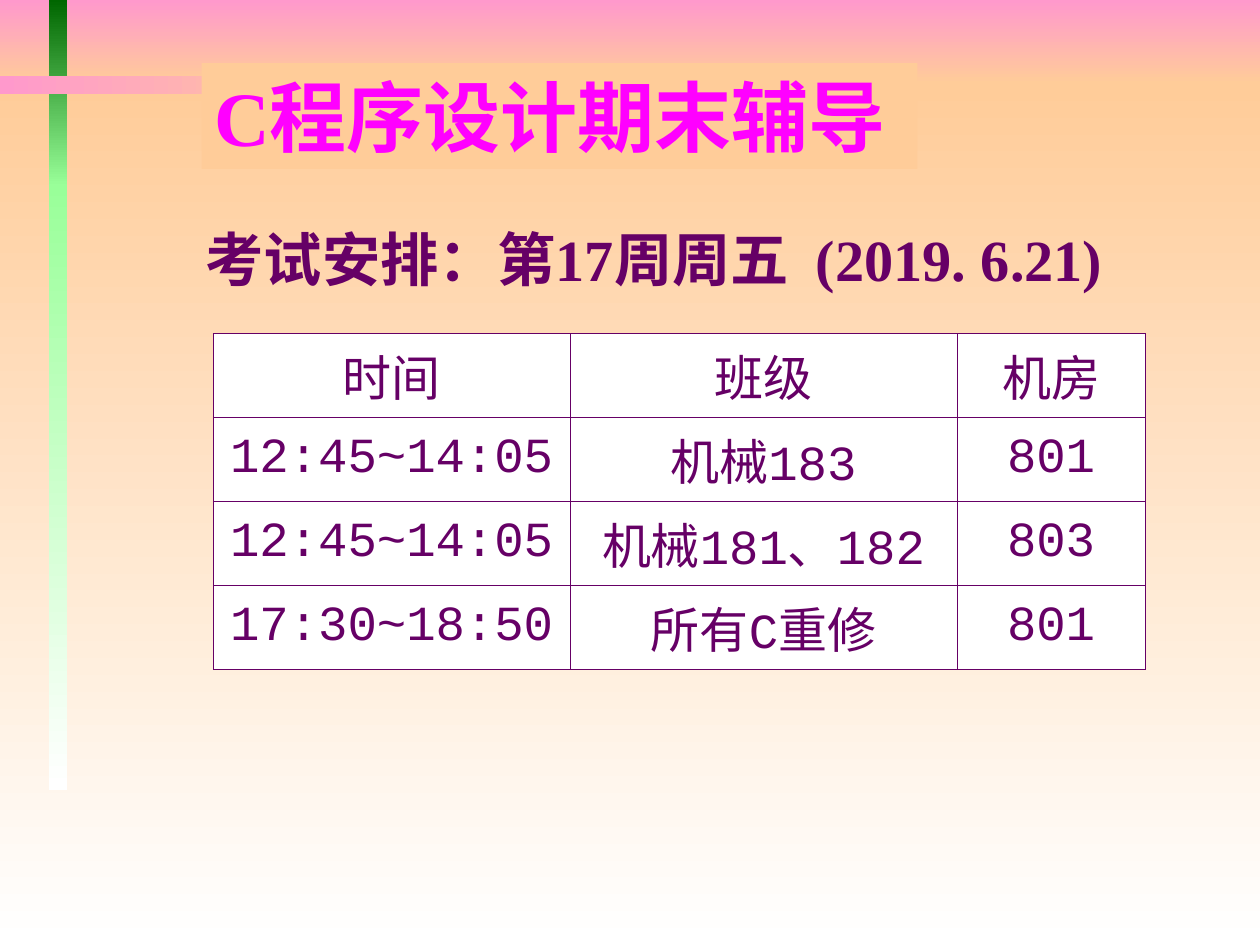
"""Builds the exam schedule slide for the C programming tutorial."""
from lxml import etree
from pptx import Presentation
from pptx import util as u
from pptx.dml.color import RGBColor
from pptx.enum import shapes, text
from pptx.oxml.ns import qn

COLORS = {
    "pink": "FF99CC", "peach": "FFCC99", "white": "FFFFFF", "forest": "006600",
    "mint": "99FF99", "magenta": "FF00FF", "purple": "660066",
}
DOWN, RIGHT = 270, 0
BANDS = [
    ((0, 0, 720, 48), "pink", "peach", DOWN),
    ((0, 48, 720, 492), "peach", "white", DOWN),
    ((28, 0, 10.3, 106.5), "forest", "mint", DOWN),
    ((28, 105, 10.3, 346.5), "mint", "white", DOWN),
    ((0, 43.5, 208, 10), "pink", "peach", RIGHT),
]
ROWS = [
    ("时间", "班级", "机房"),
    ("12:45~14:05", "机械183", "801"),
    ("12:45~14:05", "机械181、182", "803"),
    ("17:30~18:50", "所有C重修", "801"),
]


class Deck:
    """Holds the style and the current slide."""

    def __init__(self, width, height):
        self.prs = Presentation()
        self.prs.slide_width, self.prs.slide_height = u.Pt(width), u.Pt(height)
        self.s = self.prs.slides.add_slide(self.prs.slide_layouts[1])

    def color(self, name):
        return RGBColor.from_string(COLORS[name])

    def font(self, p, name, size, color, bold=False):
        f = p.font
        f.name, f.size, f.bold = name, u.Pt(size), bold
        f.color.rgb = self.color(color)

    def band(self, box, start, end, angle):
        sp = self.s.shapes.add_shape(shapes.MSO_SHAPE.RECTANGLE, *map(u.Pt, box))
        sp.shadow.inherit = False
        sp.line.fill.background()
        sp.fill.gradient()
        sp.fill.gradient_angle = angle
        for stop, name in zip(sp.fill.gradient_stops, (start, end)):
            stop.color.rgb = self.color(name)

    def placeholder(self, idx, box, content, size, color):
        sp = self.s.placeholders[idx]
        sp.left, sp.top, sp.width, sp.height = map(u.Pt, box)
        self.s.shapes._spTree.append(sp._element)
        tf = sp.text_frame
        tf.text = content
        tf.vertical_anchor = text.MSO_ANCHOR.TOP
        tf.auto_size = text.MSO_AUTO_SIZE.NONE
        p = tf.paragraphs[0]
        p.alignment = text.PP_ALIGN.LEFT
        self.font(p, "Times New Roman", size, color, True)
        return sp

    def title(self, box, content):
        sp = self.placeholder(0, box, content, 44, "magenta")
        sp.fill.solid()
        sp.fill.fore_color.rgb = self.color("peach")
        sp.text_frame.word_wrap = False
        sp.text_frame.margin_right = 0

    def body(self, box, content):
        p = self.placeholder(1, box, content, 33.3, "purple").text_frame.paragraphs[0]
        p.line_spacing, p.space_before = 0.9, u.Pt(9)
        pPr = p._p.get_or_add_pPr()
        pPr.set("marL", "0")
        pPr.set("indent", "0")
        pPr.insert_element_before(
            pPr.makeelement(qn("a:buNone"), {}), "a:tabLst", "a:defRPr", "a:extLst")

    def borders(self, cell):
        tcPr = cell._tc.get_or_add_tcPr()
        for i, side in enumerate(("lnL", "lnR", "lnT", "lnB")):
            ln = etree.Element(qn(f"a:{side}"), w=str(u.Pt(0.45)))
            fill = etree.SubElement(ln, qn("a:solidFill"))
            etree.SubElement(fill, qn("a:srgbClr"), val=COLORS["purple"])
            tcPr.insert(i, ln)

    def cell(self, cell, content):
        cell.text = content
        cell.vertical_anchor = text.MSO_ANCHOR.MIDDLE
        cell.margin_left = cell.margin_right = u.Pt(0.7)
        cell.fill.solid()
        cell.fill.fore_color.rgb = self.color("white")
        p = cell.text_frame.paragraphs[0]
        p.alignment = text.PP_ALIGN.CENTER
        self.font(p, "Courier New", 28, "purple")
        self.borders(cell)

    def table(self, left, top, widths, heights, rows):
        box = map(u.Pt, (left, top, sum(widths), sum(heights)))
        tbl = self.s.shapes.add_table(len(rows), len(widths), *box).table
        for col, width in zip(tbl.columns, widths):
            col.width = u.Pt(width)
        for row, height, values in zip(tbl.rows, heights, rows):
            row.height = u.Pt(height)
            for cell, value in zip(row.cells, values):
                self.cell(cell, value)


def main():
    deck = Deck(720, 540)
    for band in BANDS:
        deck.band(*band)
    deck.title((115.2, 36, 409, 60.5), "C程序设计期末辅导")
    deck.body((110.2, 128.3, 578, 67.7), "考试安排：第17周周五  (2019. 6.21)")
    deck.table(121.8, 190.7, (204, 221, 107.7), (43, 38, 38, 38), ROWS)
    deck.prs.save("out.pptx")


if __name__ == "__main__":
    main()
